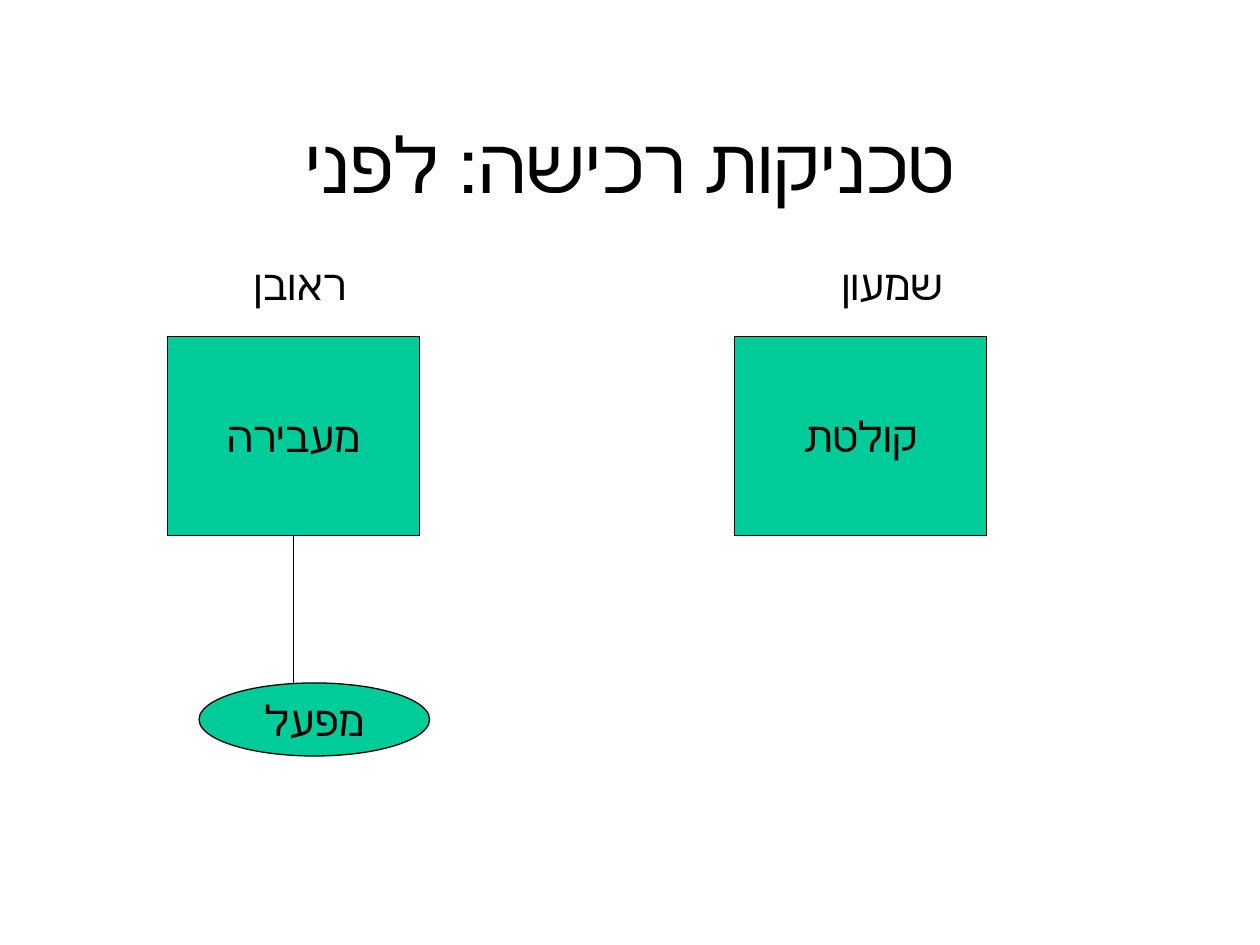
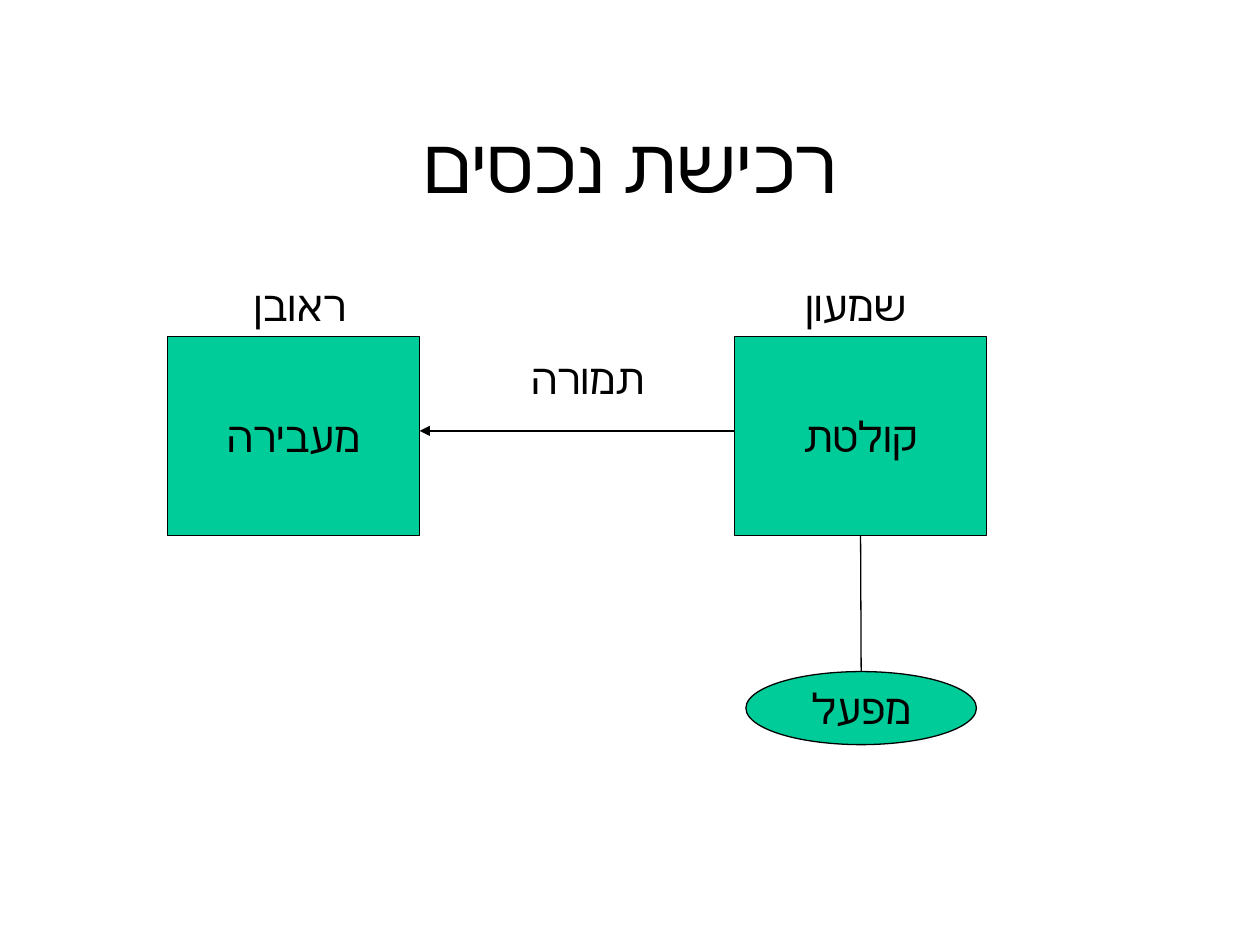
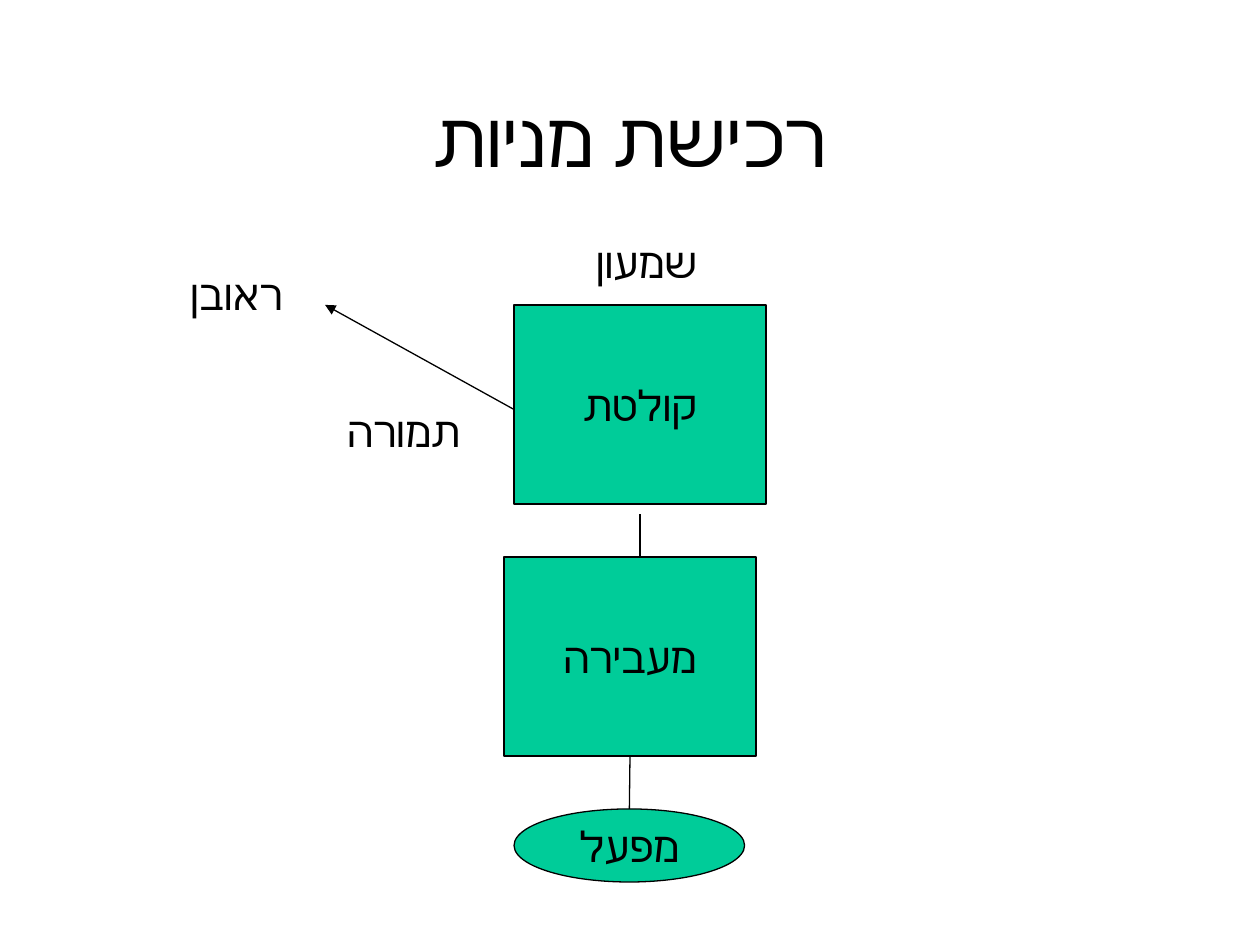
import dataclasses

import lxml.etree
import pptx
import pptx.dml.color
import pptx.enum.shapes
import pptx.enum.text
import pptx.oxml.ns
import pptx.util

Inches = pptx.util.Inches
Align = pptx.enum.text.PP_ALIGN
Anchor = pptx.enum.text.MSO_ANCHOR
Fit = pptx.enum.text.MSO_AUTO_SIZE
Kind = pptx.enum.shapes.MSO_SHAPE
TOP, BOTTOM = 0, 2

SELLER, BUYER = "מעבירה", "קולטת"
REUVEN, SHIMON = "ראובן", "שמעון"
PLANT, PRICE = "מפעל", "תמורה"


@dataclasses.dataclass(frozen=True)
class Theme:
    font: str = "Times New Roman"
    ink: str = "000000"
    fill: str = "00CC99"
    title: int = 44
    body: int = 24
    line: float = 0.75


def add_node(parent, tag, **attrs):
    return lxml.etree.SubElement(parent, pptx.oxml.ns.qn(tag), attrs)


def color(code):
    return pptx.dml.color.RGBColor.from_string(code)


class Deck:
    def __init__(self, theme):
        self.theme = theme
        self.show = pptx.Presentation()
        self.show.slide_width = Inches(10)
        self.show.slide_height = Inches(7.5)
        self.slide = None

    def put_text(self, frame, text, size=None, align=Align.CENTER,
                 anchor=Anchor.MIDDLE, wrap=True, fit=Fit.NONE, rtl=False):
        frame.word_wrap = wrap
        frame.auto_size = fit
        frame.vertical_anchor = anchor
        para = frame.paragraphs[0]
        para.alignment = align
        if rtl:
            para._p.get_or_add_pPr().set("rtl", "1")
        run = para.add_run()
        run.text = text
        run.font.name = self.theme.font
        run.font.size = pptx.util.Pt(size or self.theme.body)
        run.font.color.rgb = color(self.theme.ink)

    def start(self, title, height=1.25):
        """Add a slide with its title."""
        self.slide = self.show.slides.add_slide(self.show.slide_layouts[5])
        head = self.slide.shapes.title
        head.left, head.top = Inches(0.75), Inches(0.67)
        head.width, head.height = Inches(8.5), Inches(height)
        self.put_text(head.text_frame, title, size=self.theme.title)

    def stroke(self, line):
        line.color.rgb = color(self.theme.ink)
        line.width = pptx.util.Pt(self.theme.line)

    def shape(self, kind, text, left, top, width, height):
        shape = self.slide.shapes.add_shape(
            kind, Inches(left), Inches(top), Inches(width), Inches(height))
        shape.shadow.inherit = False
        shape.fill.solid()
        shape.fill.fore_color.rgb = color(self.theme.fill)
        self.stroke(shape.line)
        self.put_text(shape.text_frame, text, wrap=False)
        return shape

    def firm(self, text, left, top):
        return self.shape(Kind.RECTANGLE, text, left, top, 2, 1.58)

    def plant(self, left, top):
        return self.shape(Kind.OVAL, PLANT, left, top, 1.83, 0.58)

    def label(self, text, left, top, width=1.92, **style):
        box = self.slide.shapes.add_textbox(
            Inches(left), Inches(top), Inches(width), Inches(0.5))
        self.put_text(box.text_frame, text, anchor=Anchor.TOP,
                      fit=Fit.SHAPE_TO_FIT_TEXT, **style)

    def link(self, start, end, upper=None, lower=None, arrow=False):
        """Draw a line, joined to the upper and lower shapes if given."""
        line = self.slide.shapes.add_connector(
            pptx.enum.shapes.MSO_CONNECTOR.STRAIGHT,
            *(Inches(n) for n in (*start, *end)))
        if upper is not None:
            line.begin_connect(upper, BOTTOM)
        if lower is not None:
            line.end_connect(lower, TOP)
        self.stroke(line.line)
        if arrow:
            add_node(line.line._get_or_add_ln(), "a:tailEnd", type="triangle")
        add_node(line._element.spPr, "a:effectLst")


def pair(deck):
    """Place the two firms side by side."""
    return deck.firm(SELLER, 1.33, 2.67), deck.firm(BUYER, 5.83, 2.67)


def before(deck):
    deck.start("טכניקות רכישה: לפני")
    seller, _ = pair(deck)
    deck.link((2.33, 4.25), (2.33, 5.42), upper=seller)
    deck.plant(1.58, 5.42)
    deck.label(REUVEN, 1.42, 2)
    deck.label(SHIMON, 6, 2, 1.58, align=Align.RIGHT, rtl=True)


def assets(deck):
    deck.start("רכישת נכסים")
    _, buyer = pair(deck)
    plant = deck.plant(5.92, 5.33)
    deck.link((6.83, 4.25), (6.83, 5.33), upper=buyer, lower=plant)
    deck.link((5.83, 3.42), (3.33, 3.42), arrow=True)
    deck.label(PRICE, 3.83, 2.75, 1.67)
    deck.label(REUVEN, 1.42, 2.17, rtl=True)
    deck.label(SHIMON, 5.83, 2.17, rtl=True)


def shares(deck):
    deck.start("רכישת מניות", height=0.83)
    seller = deck.firm(SELLER, 4, 4.42)
    deck.firm(BUYER, 4.08, 2.42)
    plant = deck.plant(4.08, 6.42)
    deck.link((5.08, 4.08), (5.08, 4.42))
    deck.link((5, 6), (5, 6.42), upper=seller, lower=plant)
    deck.link((4.08, 3.25), (2.58, 2.42), arrow=True)
    deck.label(REUVEN, 0.67, 2.08, 1.67, align=Align.RIGHT, rtl=True)
    deck.label(PRICE, 2.17, 3.17, 1.58, align=Align.RIGHT, rtl=True)
    deck.label(SHIMON, 4.17, 1.83)


def main():
    deck = Deck(Theme())
    for build in (before, assets, shares):
        build(deck)
    deck.show.save("out.pptx")


if __name__ == "__main__":
    main()
